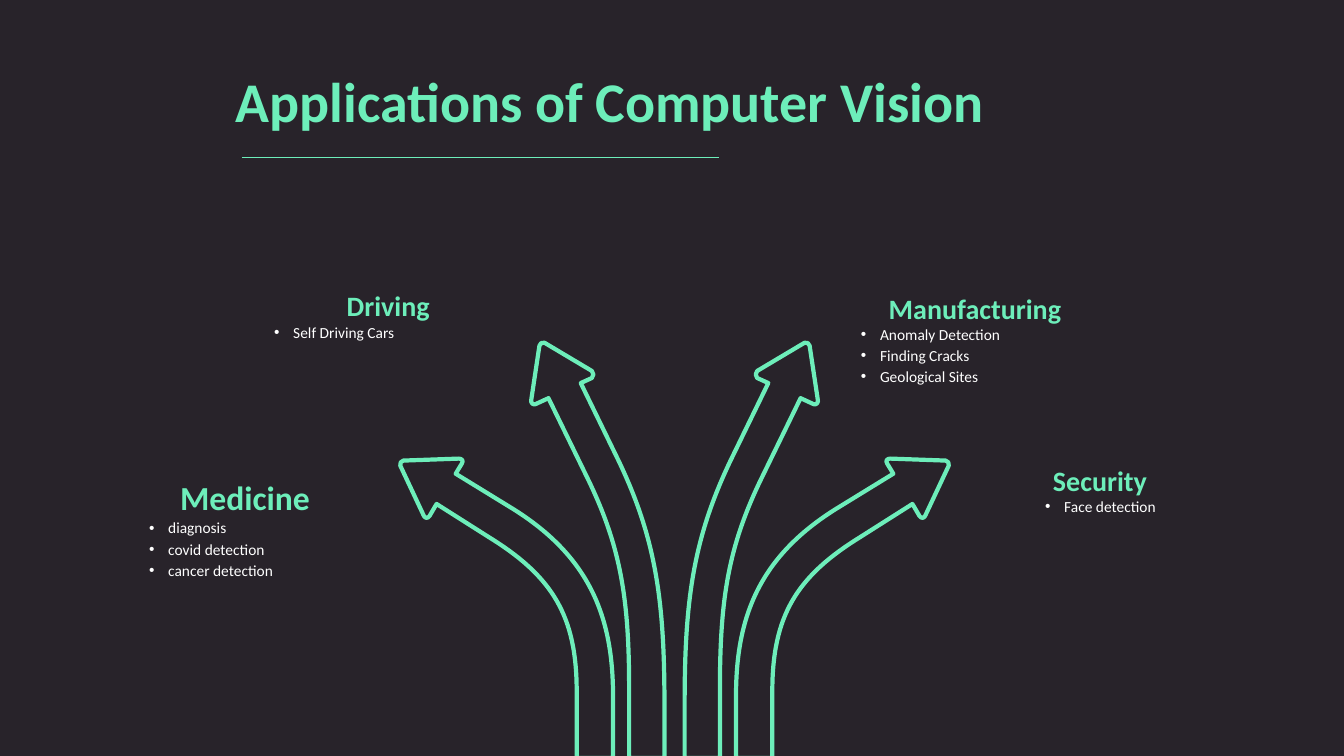
"""Build a slide with four arrows that fan out to uses of computer vision."""
from dataclasses import dataclass

from lxml import etree
from pptx import Presentation
from pptx.dml.color import RGBColor
from pptx.enum.shapes import MSO_CONNECTOR
from pptx.enum.text import MSO_ANCHOR, MSO_AUTO_SIZE, PP_ALIGN
from pptx.oxml.ns import qn
from pptx.util import Inches, Pt

LEFT, CENTER = PP_ALIGN.LEFT, PP_ALIGN.CENTER
TOP = MSO_ANCHOR.TOP
GROW = MSO_AUTO_SIZE.SHAPE_TO_FIT_TEXT
STRAIGHT = MSO_CONNECTOR.STRAIGHT
CELL = Inches(0.1)
AXIS = 66.9


@dataclass(frozen=True)
class Theme:
    """Colours, fonts, type sizes and line widths."""
    back: RGBColor = RGBColor(0x28, 0x23, 0x2A)
    mint: RGBColor = RGBColor(0x6D, 0xEE, 0xBA)
    white: RGBColor = RGBColor(0xFF, 0xFF, 0xFF)
    face: str = "Calibri"
    dot: str = "Arial"
    title: int = 40
    large: int = 24
    head: int = 20
    item: int = 11
    rule: float = 0.75
    edge: int = 3


THEME = Theme()

OUTER = [
    (60.8, 75.2), (60.8, 69), (60.8, 61.1, 58.4, 55.2, 50.9, 50.5),
    (45.2, 47), (45.8, 46), (46, 45.7, 45.8, 45.5, 45.5, 45.5),
    (40, 45.7), (39.8, 45.7, 39.6, 46, 39.7, 46.2),
    (42, 51.1), (42.1, 51.4, 42.4, 51.5, 42.6, 51.2),
    (43.3, 50), (48.5, 53.3), (54.8, 57.2, 57.2, 61.1, 57.2, 68.6),
    (57.2, 75.2), (60.8, 75.2),
]
INNER = [
    (62.4, 75.2), (65.9, 75.2), (65.9, 69.9),
    (65.9, 59.7, 65.1, 53.5, 61.3, 45.6),
    (57.6, 38), (58.7, 37.5), (58.9, 37.3, 58.9, 37, 58.7, 36.8),
    (54, 34), (53.8, 33.9, 53.5, 34.1, 53.5, 34.3),
    (52.7, 39.6), (52.6, 39.9, 52.8, 40.2, 53.1, 40.1),
    (54.4, 39.5), (58.3, 47.5), (61.6, 54.3, 62.4, 59.5, 62.4, 68.4),
    (62.4, 75.2),
]

TOPICS = [
    ("Medicine", THEME.large, (11.2, 46.8, 26.2, 5), (13.8, 50.7), LEFT,
     ["diagnosis", "covid detection", "cancer detection"]),
    ("Driving", THEME.head, (25.4, 28.1, 26.2, 4.4), (26.2, 31.3), LEFT,
     ["Self Driving Cars"]),
    ("Manufacturing", THEME.head, (83.6, 28.4, 26.2, 4.4), (84.4, 31.5), LEFT,
     ["Anomaly Detection", "Finding Cracks", "Geological Sites"]),
    ("Security", THEME.head, (96, 45.5, 26.2, 4.4), (96.8, 48.6), CENTER,
     ["Face detection"]),
]


def grid(*cells):
    """Turn grid columns and rows into lengths."""
    return [round(cell * CELL) for cell in cells]


def apply(target, **values):
    """Set each named value on the target."""
    for name, value in values.items():
        setattr(target, name, value)


def style(para, size, color, bold=False):
    """Format the font of a paragraph."""
    apply(para.font, name=THEME.face, size=Pt(size), bold=bold)
    para.font.color.rgb = color


def bullet(para):
    """Give a paragraph a hanging bullet."""
    props = para._p.get_or_add_pPr()
    indent = Inches(0.19)
    props.set("marL", str(indent))
    props.set("indent", str(-indent))
    etree.SubElement(props, qn("a:buFont")).set("typeface", THEME.dot)
    etree.SubElement(props, qn("a:buChar")).set("char", "•")


def heading(slide, text):
    """Place the title and the rule below it."""
    title = slide.shapes.title
    apply(title, **dict(zip(("left", "top", "width", "height"),
                            grid(22.4, 6.1, 76.2, 7.7))))
    frame = title.text_frame
    frame.text = text
    apply(frame, word_wrap=False, auto_size=GROW, vertical_anchor=TOP)
    para = frame.paragraphs[0]
    para.alignment = LEFT
    style(para, THEME.title, THEME.mint, True)
    rule = slide.shapes.add_connector(STRAIGHT, *grid(24, 15.6, 71.3, 15.6))
    rule.line.color.rgb = THEME.mint
    rule.line.width = Pt(THEME.rule)
    etree.SubElement(rule._element.spPr, qn("a:effectLst"))


def place(part, flip):
    """Turn the flat numbers of a path part into points."""
    return [grid(2 * AXIS - x if flip else x, y)
            for x, y in zip(part[::2], part[1::2])]


def bend(shape, parts):
    """Make cubic curves of the path parts that have control points."""
    track = shape._element.find(".//" + qn("a:path"))
    for step, points in zip(list(track), parts):
        if len(points) == 1:
            continue
        curve = etree.Element(qn("a:cubicBezTo"))
        for x, y in points:
            spot = etree.SubElement(curve, qn("a:pt"))
            spot.set("x", str(x - shape.left))
            spot.set("y", str(y - shape.top))
        track.replace(step, curve)


def arrow(slide, path, flip):
    """Draw an outlined arrow, flipped about the axis if asked."""
    parts = [place(part, flip) for part in path]
    pen = slide.shapes.build_freeform(*parts[0][0])
    pen.add_line_segments([points[-1] for points in parts[1:]], close=True)
    shape = pen.convert_to_shape()
    bend(shape, parts)
    shape.shadow.inherit = False
    shape.fill.background()
    shape.line.color.rgb = THEME.mint
    shape.line.width = Pt(THEME.edge)


def box(shapes, area, lines):
    """Add a wrapped text box and return its paragraphs."""
    frame = shapes.add_textbox(*grid(*area)).text_frame
    apply(frame, word_wrap=True, auto_size=GROW)
    frame.text = "\n".join(lines)
    return frame.paragraphs


def topic(slide, name, size, area, spot, align, items):
    """Add a group with a topic name and its bullet list."""
    shapes = slide.shapes.add_group_shape().shapes
    head = box(shapes, area, [name])[0]
    head.alignment = CENTER
    style(head, size, THEME.mint, True)
    rows = 1 + 2.1 * len(items)
    for para in box(shapes, (*spot, 24.7, rows), items):
        bullet(para)
        apply(para, alignment=align, line_spacing=1.14)
        style(para, THEME.item, THEME.white)


def main():
    """Build and save the slide."""
    deck = Presentation()
    apply(deck, slide_width=Inches(13.33), slide_height=Inches(7.5))
    slide = deck.slides.add_slide(deck.slide_layouts.get_by_name("Title Only"))
    slide.background.fill.solid()
    slide.background.fill.fore_color.rgb = THEME.back
    heading(slide, "Applications of Computer Vision")
    for flip in (False, True):
        for path in (OUTER, INNER):
            arrow(slide, path, flip)
    for entry in TOPICS:
        topic(slide, *entry)
    deck.save("out.pptx")


if __name__ == "__main__":
    main()
